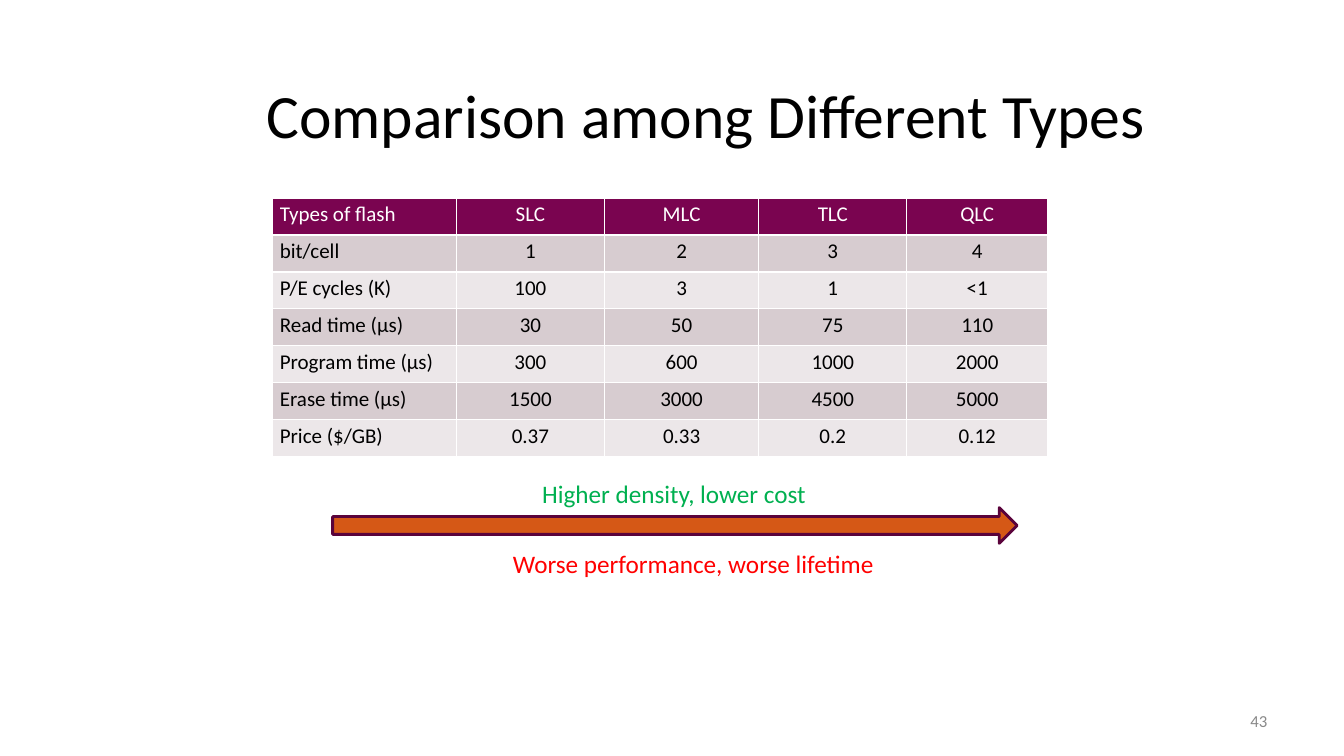
from pptx import Presentation
from pptx.dml.color import RGBColor
from pptx.enum.shapes import MSO_SHAPE
from pptx.enum.text import MSO_ANCHOR, PP_ALIGN
from pptx.util import Pt

LEFT, CENTER, RIGHT = PP_ALIGN.LEFT, PP_ALIGN.CENTER, PP_ALIGN.RIGHT
TOP, MIDDLE = MSO_ANCHOR.TOP, MSO_ANCHOR.MIDDLE
RIGHT_ARROW = MSO_SHAPE.RIGHT_ARROW

FONT = "Calibri"
COLORS = {
    "black": "000000",
    "white": "FFFFFF",
    "header": "7A0450",
    "dark_band": "D7CCD0",
    "light_band": "ECE7E9",
    "arrow": "D55816",
    "arrow_line": "5A033B",
    "benefit": "00B050",
    "drawback": "FF0000",
    "page_number": "898989",
}

FLASH_TYPES = [
    ["Types of flash", "SLC", "MLC", "TLC", "QLC"],
    ["bit/cell", "1", "2", "3", "4"],
    ["P/E cycles (K)", "100", "3", "1", "<1"],
    ["Read time (µs)", "30", "50", "75", "110"],
    ["Program time (µs)", "300", "600", "1000", "2000"],
    ["Erase time (µs)", "1500", "3000", "4500", "5000"],
    ["Price ($/GB)", "0.37", "0.33", "0.2", "0.12"],
]
COLUMN_WIDTHS = [131.4, 105.8, 110.2, 105.8, 100.6]
ROW_HEIGHT = 26.35


def color(name):
    return RGBColor.from_string(COLORS[name])


def write_text(text_frame, text, *, size, color_name="black", align=LEFT):
    paragraph = text_frame.paragraphs[0]
    paragraph.alignment = align
    run = paragraph.add_run()
    run.text = text
    run.font.name = FONT
    run.font.size = Pt(size)
    run.font.bold = False
    run.font.color.rgb = color(color_name)


def add_text(slide, text, left, top, width, height, *, anchor=TOP, wrap=True, **text_format):
    text_box = slide.shapes.add_textbox(Pt(left), Pt(top), Pt(width), Pt(height))
    text_frame = text_box.text_frame
    text_frame.word_wrap = wrap
    text_frame.vertical_anchor = anchor
    write_text(text_frame, text, **text_format)


def add_comparison_table(slide, rows, left, top):
    # The default table style supplies the white cell borders
    frame = slide.shapes.add_table(
        len(rows), len(COLUMN_WIDTHS), Pt(left), Pt(top),
        Pt(sum(COLUMN_WIDTHS)), Pt(ROW_HEIGHT * len(rows)))
    table = frame.table
    for column, width in zip(table.columns, COLUMN_WIDTHS):
        column.width = Pt(width)
    for row_index, values in enumerate(rows):
        table.rows[row_index].height = Pt(ROW_HEIGHT)
        is_header = row_index == 0
        band = "dark_band" if row_index % 2 else "light_band"
        for column_index, value in enumerate(values):
            cell = table.cell(row_index, column_index)
            cell.margin_left = cell.margin_right = Pt(5.3)
            cell.margin_top = cell.margin_bottom = Pt(2.65)
            cell.fill.solid()
            cell.fill.fore_color.rgb = color("header" if is_header else band)
            write_text(cell.text_frame, value, size=15,
                       color_name="white" if is_header else "black",
                       align=CENTER if column_index else LEFT)


def add_arrow(slide, left, top, width, height):
    arrow = slide.shapes.add_shape(RIGHT_ARROW, Pt(left), Pt(top), Pt(width), Pt(height))
    arrow.shadow.inherit = False
    arrow.fill.solid()
    arrow.fill.fore_color.rgb = color("arrow")
    arrow.line.color.rgb = color("arrow_line")
    arrow.line.width = Pt(2)


def main():
    presentation = Presentation()
    presentation.slide_width = Pt(960)
    presentation.slide_height = Pt(540)
    slide = presentation.slides.add_slide(presentation.slide_layouts[6])

    # Page number
    add_text(slide, "43", 688.3, 500.5, 224, 28.8, anchor=MIDDLE,
             size=12, color_name="page_number", align=RIGHT)

    # Flash comparison
    add_comparison_table(slide, FLASH_TYPES, 194.6, 141.6)

    # Trend from SLC to QLC
    add_arrow(slide, 237.6, 362.6, 488.9, 25.5)
    add_text(slide, "Higher density, lower cost", 380.2, 338.4, 293, 29,
             size=18, color_name="benefit")
    add_text(slide, "Worse performance, worse lifetime", 359.3, 388.3, 275, 29,
             wrap=False, size=18, color_name="drawback")

    # Title
    add_text(slide, "Comparison among Different Types", 169.2, 28.8, 670.3, 104.4,
             anchor=MIDDLE, size=44, align=CENTER)

    presentation.save("out.pptx")


if __name__ == "__main__":
    main()
